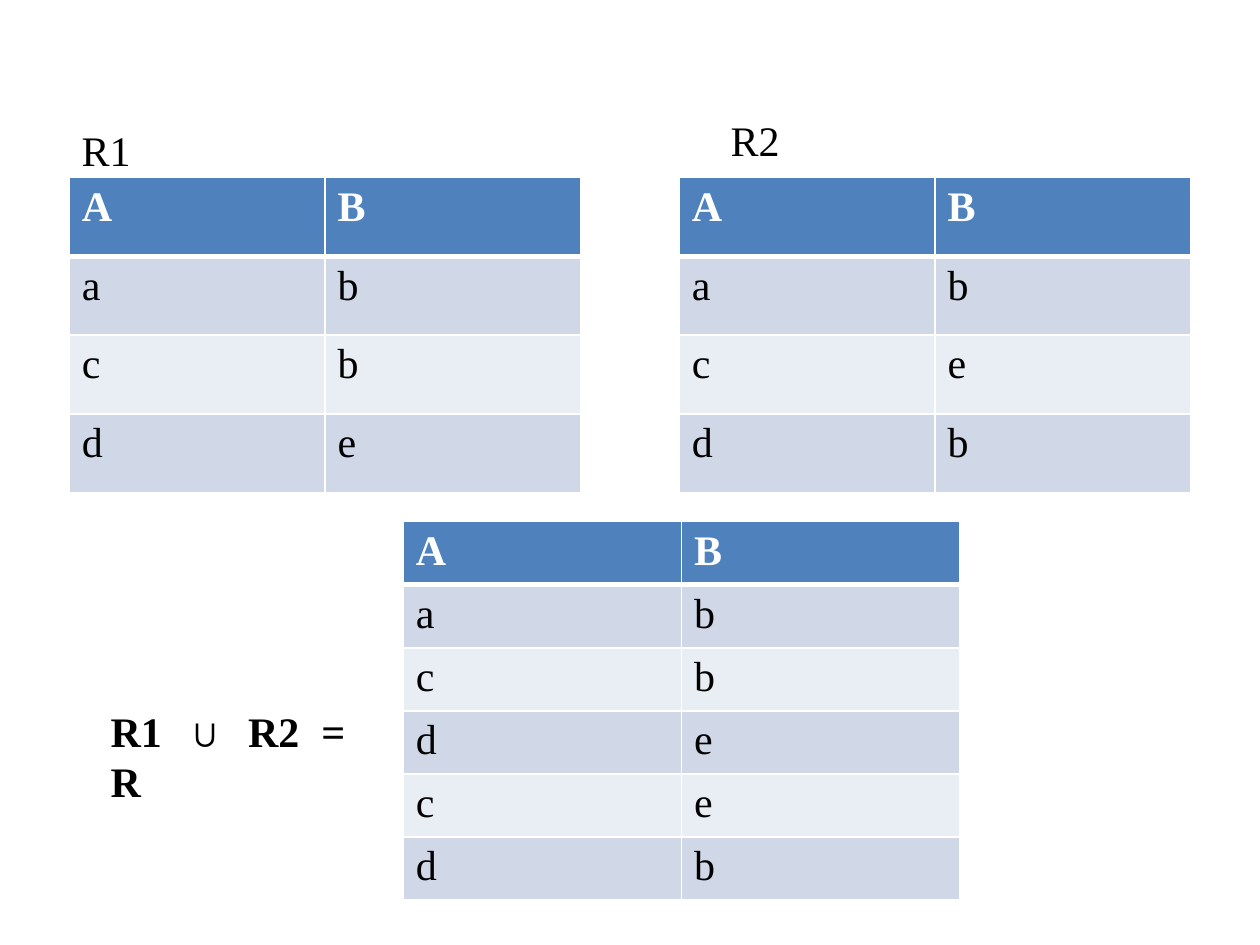
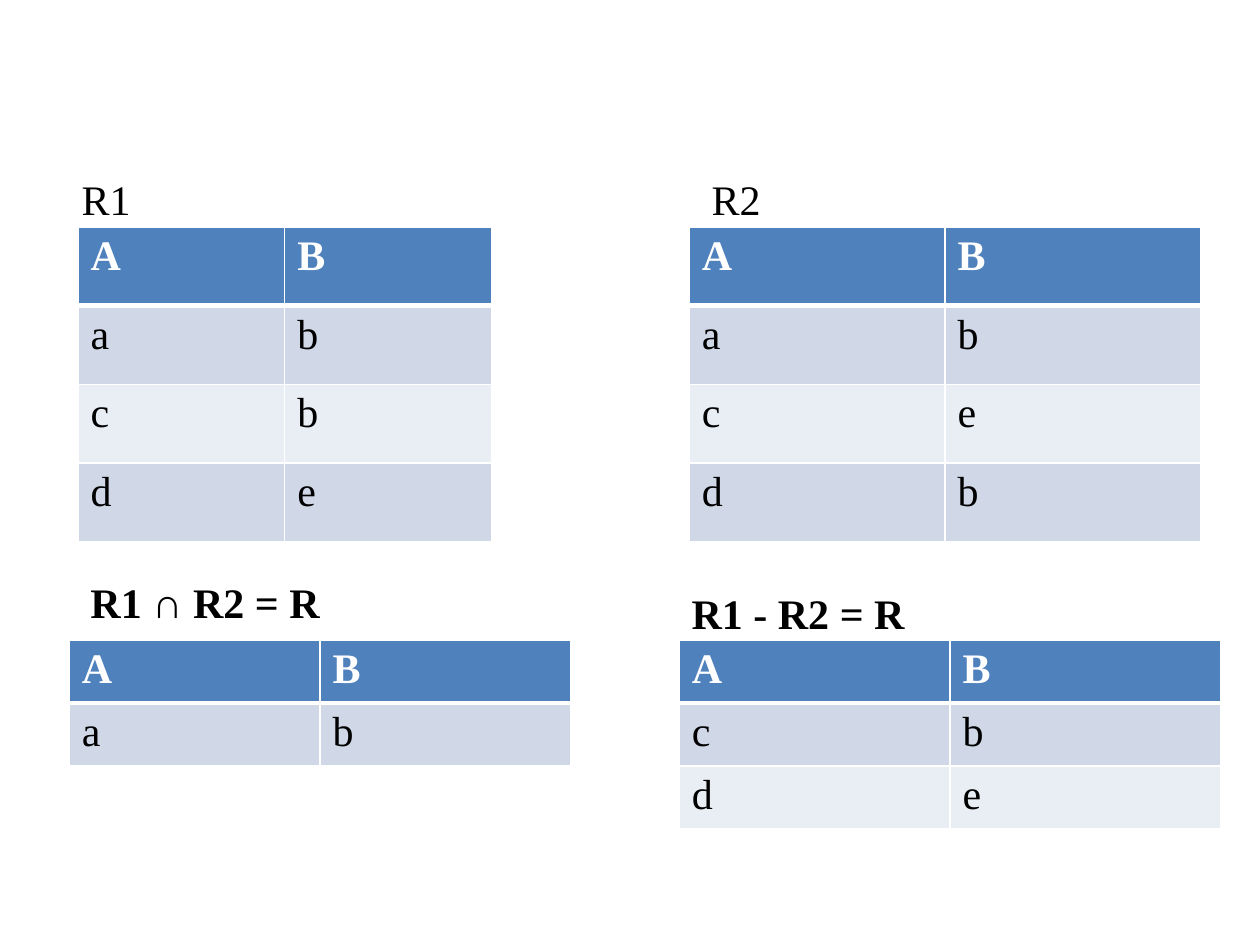
from lxml import etree
from pptx import Presentation
from pptx.dml.color import RGBColor
from pptx.enum import text
from pptx.oxml import ns
from pptx.util import Inches, Pt

COLORS = {"header": "4F81BD", "odd": "D0D8E8", "even": "E9EDF4",
          "grid": "FFFFFF", "header_text": "FFFFFF", "body_text": "000000"}
FONT = "Times New Roman"
SIZE = Pt(24)

# Relations: each tuple is one row of attributes A and B
R1 = ["ab", "cb", "de"]
R2 = ["ab", "ce", "db"]
union = R1 + [row for row in R2 if row not in R1]
intersection = [row for row in R1 if row in R2]
difference = [row for row in R1 if row not in R2]

TALL, SHORT = 0.625, 0.5  # row heights


def add_label(slide, label, left, top, width, bold=False, wrap=False):
    frame = slide.shapes.add_textbox(
        Inches(left), Inches(top), Inches(width), Inches(0.5)).text_frame
    frame.word_wrap = wrap
    paragraph = frame.paragraphs[0]
    paragraph.text = label
    paragraph.alignment = text.PP_ALIGN.JUSTIFY if wrap else text.PP_ALIGN.LEFT
    paragraph.font.name, paragraph.font.size, paragraph.font.bold = FONT, SIZE, bold
    paragraph.font.color.rgb = RGBColor.from_string(COLORS["body_text"])


def add_relation(slide, relation, left, top, width, row_height):
    rows = ["AB"] + relation
    table = slide.shapes.add_table(
        len(rows), 2, Inches(left), Inches(top), Inches(width),
        Inches(row_height * len(rows))).table
    for r, values in enumerate(rows):
        table.rows[r].height = Inches(row_height)
        band = "header" if r == 0 else "odd" if r % 2 else "even"
        for c, value in enumerate(values):
            cell = table.cell(r, c)
            # White grid, with a heavier rule under the header
            properties = cell._tc.get_or_add_tcPr()
            for side in "LRTB":
                heavy = (r, side) in [(0, "B"), (1, "T")]
                line = etree.SubElement(properties, ns.qn(f"a:ln{side}"),
                                        w=str(Pt(3 if heavy else 1)))
                paint = etree.SubElement(line, ns.qn("a:solidFill"))
                etree.SubElement(paint, ns.qn("a:srgbClr"), val=COLORS["grid"])
            cell.fill.solid()
            cell.fill.fore_color.rgb = RGBColor.from_string(COLORS[band])
            cell.text = value
            font = cell.text_frame.paragraphs[0].font
            font.name, font.size, font.bold = FONT, SIZE, r == 0
            font.color.rgb = RGBColor.from_string(
                COLORS["body_text" if r else "header_text"])


prs = Presentation()
prs.slide_width, prs.slide_height = Inches(10), Inches(7.5)
blank = prs.slide_layouts[6]

# Slide 1: union
union_slide = prs.slides.add_slide(blank)
add_relation(union_slide, R1, 0.55, 1.41, 4.06, TALL)
add_relation(union_slide, R2, 5.39, 1.41, 4.06, TALL)
add_label(union_slide, "R1", 0.55, 0.94, 1.02)
add_label(union_slide, "R2", 5.7, 0.86, 0.59)
add_relation(union_slide, union, 3.2, 4.14, 4.42, SHORT)
add_label(union_slide, "R1 ∪ R2 = R", 0.78, 5.55, 2.06, bold=True, wrap=True)

# Slide 2: intersection and difference
other_slide = prs.slides.add_slide(blank)
add_relation(other_slide, R1, 0.62, 1.8, 3.28, TALL)
add_relation(other_slide, R2, 5.47, 1.8, 4.06, TALL)
add_label(other_slide, "R1", 0.55, 1.33, 1.02)
add_label(other_slide, "R2", 5.55, 1.33, 0.59)
add_label(other_slide, "R1 ∩ R2 = R", 0.62, 4.53, 2.06, bold=True)
add_relation(other_slide, intersection, 0.55, 5.08, 3.98, SHORT)
add_label(other_slide, "R1 - R2 = R", 5.39, 4.61, 1.91, bold=True)
add_relation(other_slide, difference, 5.39, 5.08, 4.3, SHORT)

prs.save("out.pptx")
